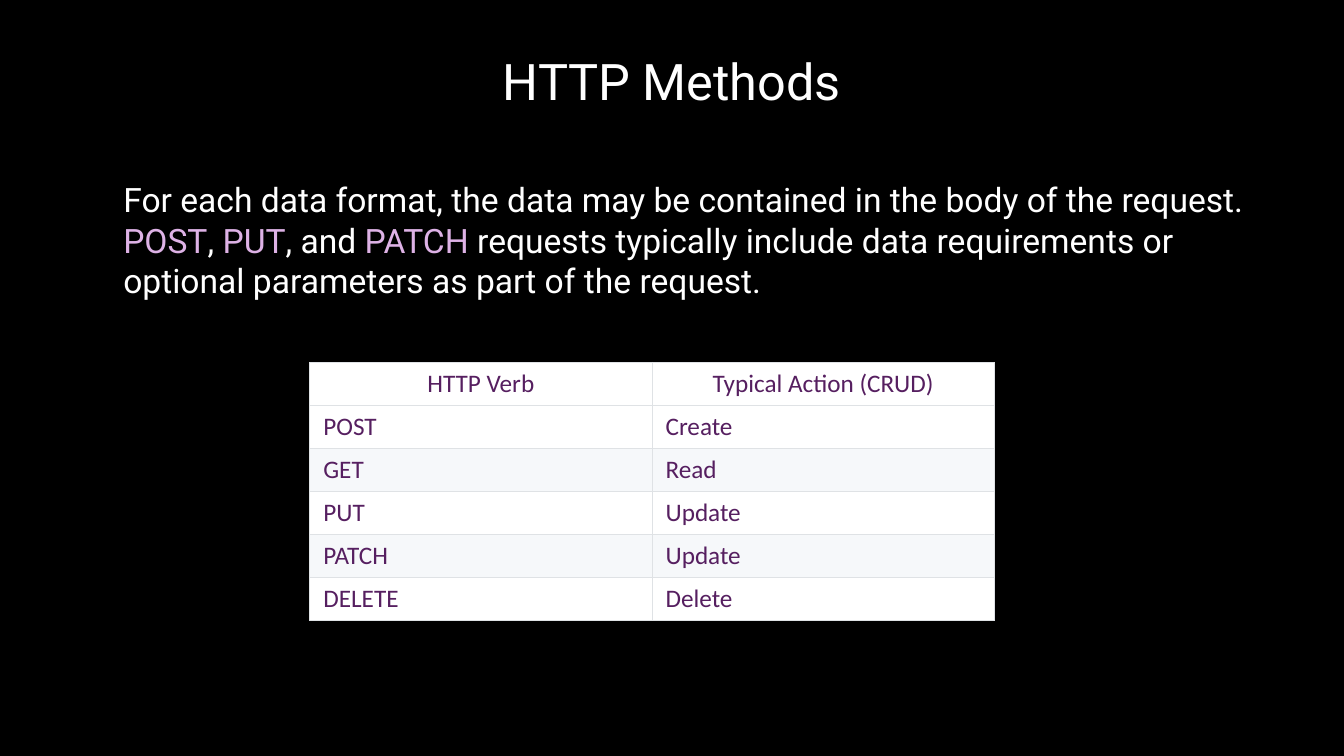
from lxml import etree
from pptx import Presentation
from pptx import util as u
from pptx.dml.color import RGBColor
from pptx.enum import text
from pptx.oxml import ns

PX = 9525  # EMU per px, 96 px to the inch

BLACK = RGBColor(0x00, 0x00, 0x00)
WHITE = RGBColor(0xFF, 0xFF, 0xFF)
LILAC = RGBColor(0xDE, 0xB2, 0xE6)
PURPLE = RGBColor(0x56, 0x1F, 0x60)
STRIPE = RGBColor(0xF6, 0xF8, 0xFA)
BORDER = RGBColor(0xDF, 0xE2, 0xE5)

BODY = [
    ("For each data format, the data may be contained in the body of the request. ", WHITE),
    ("POST", LILAC),
    (", ", WHITE),
    ("PUT", LILAC),
    (", and ", WHITE),
    ("PATCH", LILAC),
    (" requests typically include data requirements or optional parameters"
     " as part of the request.", WHITE),
]
VERBS = [
    ("HTTP Verb", "Typical Action (CRUD)"),
    ("POST", "Create"),
    ("GET", "Read"),
    ("PUT", "Update"),
    ("PATCH", "Update"),
    ("DELETE", "Delete"),
]


def px(*lengths):
    return [u.Emu(length * PX) for length in lengths]


def write_span(para, words, *, size, color, font="Roboto"):
    span = para.add_run()
    span.text = words
    span.font.size = u.Pt(size)
    span.font.name = font
    span.font.color.rgb = color


def add_text(page, place, spans, *, size, align=text.PP_ALIGN.LEFT,
             anchor=text.MSO_ANCHOR.TOP):
    """Add a one-paragraph text box from (words, color) pairs."""
    frame = page.shapes.add_textbox(*px(*place)).text_frame
    frame.word_wrap = True
    frame.vertical_anchor = anchor
    para = frame.paragraphs[0]
    para.alignment = align
    for words, color in spans:
        write_span(para, words, size=size, color=color)


def set_borders(cell):
    """Draw thin lines on all sides; they must precede the cell's fill."""
    properties = cell._tc.get_or_add_tcPr()
    for side in ("lnL", "lnR", "lnT", "lnB"):
        line = etree.SubElement(properties, ns.qn(f"a:{side}"), w=str(u.Pt(0.75)))
        fill = etree.SubElement(line, ns.qn("a:solidFill"))
        etree.SubElement(fill, ns.qn("a:srgbClr"), val=str(BORDER))


def fill_cell(cell, words, *, background, align):
    set_borders(cell)
    cell.fill.solid()
    cell.fill.fore_color.rgb = background
    cell.vertical_anchor = text.MSO_ANCHOR.MIDDLE
    cell.margin_left, cell.margin_right = px(13, 13)
    cell.margin_top, cell.margin_bottom = px(6, 6)
    para = cell.text_frame.paragraphs[0]
    para.alignment = align
    write_span(para, words, size=18, color=PURPLE, font="Calibri")


def add_verb_table(page, left, top, column_width, row_height):
    columns = len(VERBS[0])
    place = px(left, top, columns * column_width, len(VERBS) * row_height)
    table = page.shapes.add_table(len(VERBS), columns, *place).table
    table.horz_banding = False
    for row, entries in enumerate(VERBS):
        striped = row > 0 and row % 2 == 0
        for column, words in enumerate(entries):
            fill_cell(table.cell(row, column), words,
                      background=STRIPE if striped else WHITE,
                      align=text.PP_ALIGN.LEFT if row else text.PP_ALIGN.CENTER)


def main():
    deck = Presentation()
    deck.slide_width, deck.slide_height = px(1280, 720)
    page = deck.slides.add_slide(deck.slide_layouts[6])
    page.background.fill.solid()
    page.background.fill.fore_color.rgb = BLACK

    add_text(page, (108, 0, 1064, 153), [("HTTP Methods", WHITE)], size=36,
             align=text.PP_ALIGN.CENTER, anchor=text.MSO_ANCHOR.MIDDLE)
    add_text(page, (108, 166, 1091, 126), BODY, size=24)
    add_verb_table(page, left=295, top=345, column_width=326, row_height=41)
    deck.save("out.pptx")


if __name__ == "__main__":
    main()
